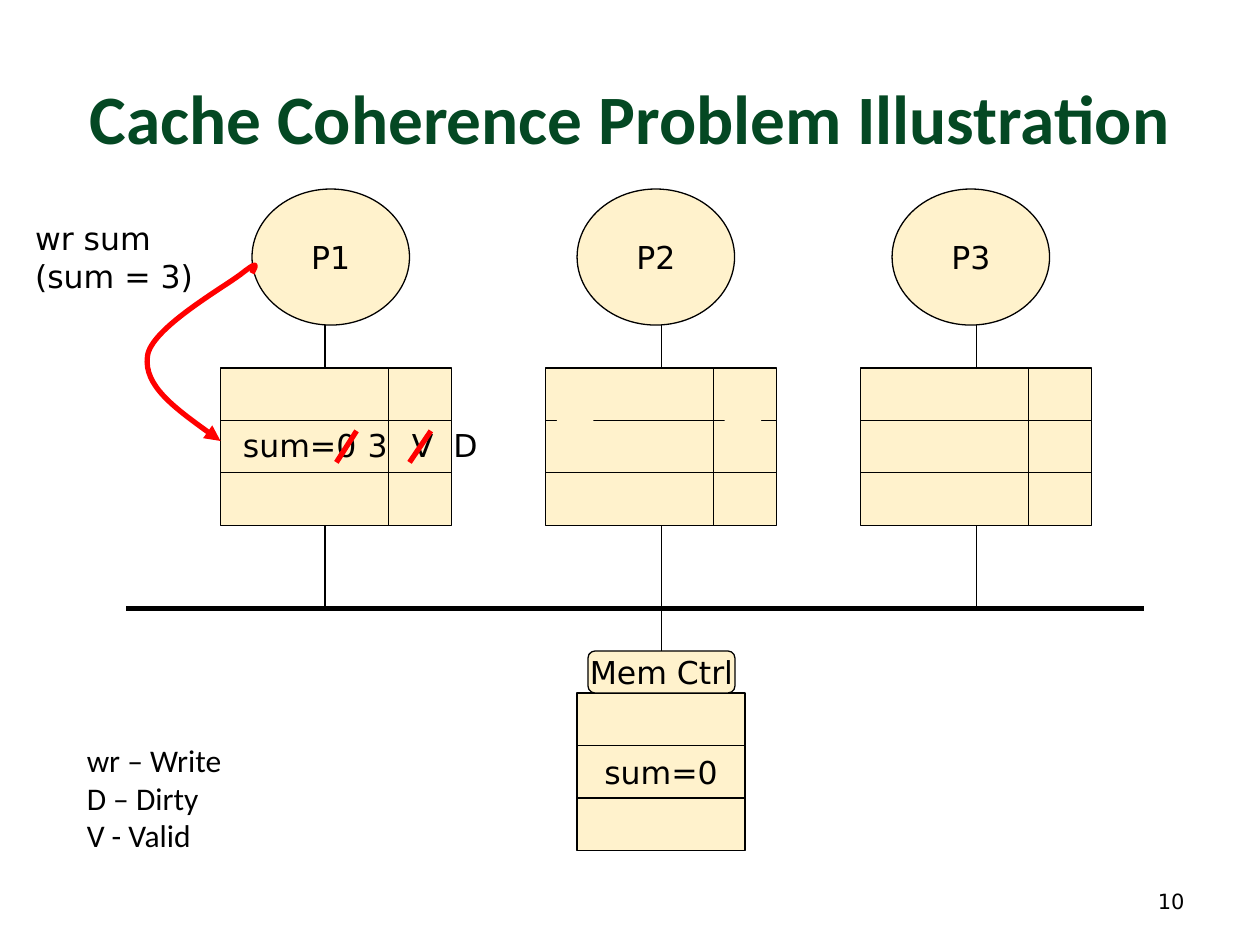
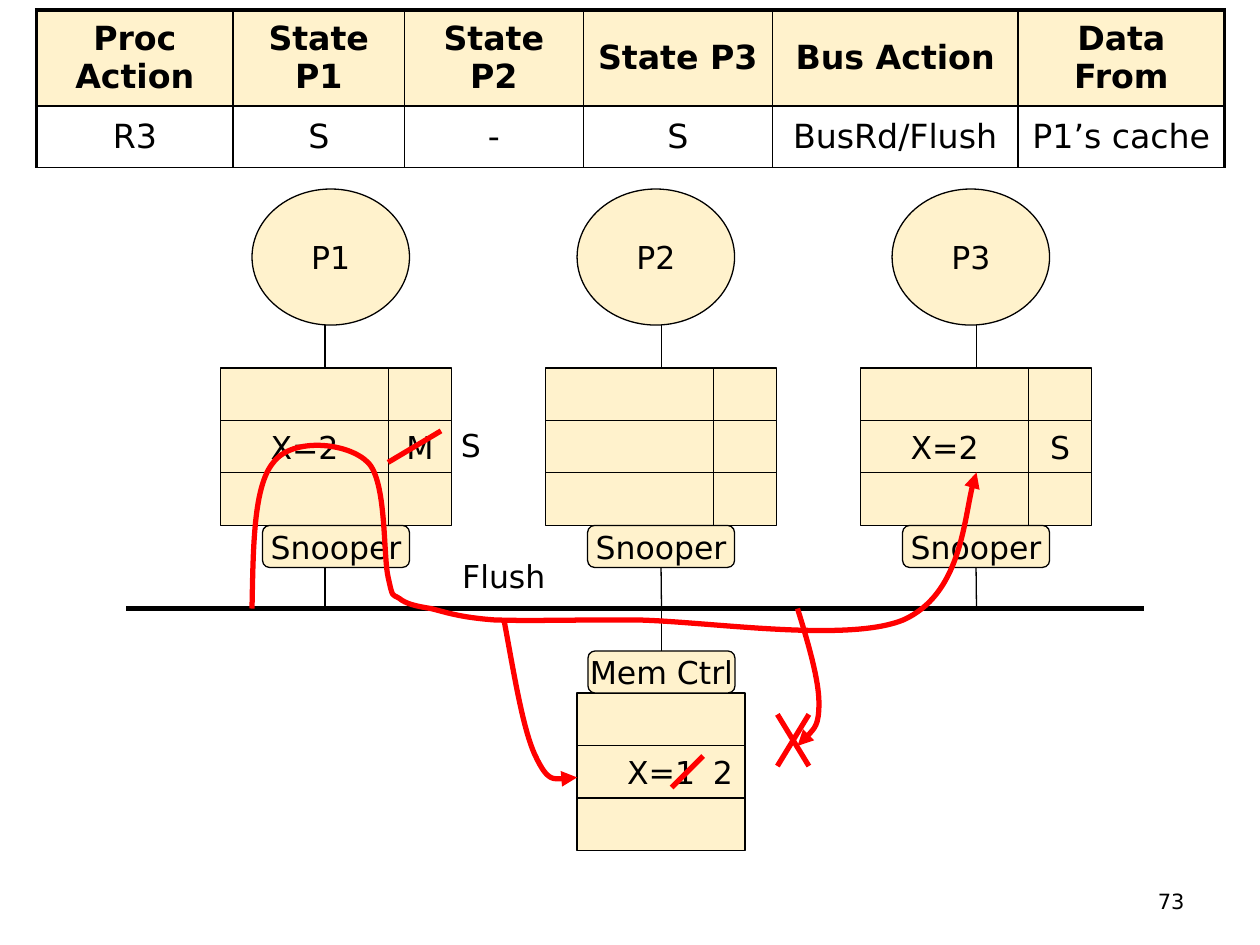
"""Build two slides on cache coherence: a stale write and a bus flush."""
from lxml import etree
from pptx import Presentation
from pptx.dml.color import RGBColor
from pptx.enum.shapes import MSO_CONNECTOR, MSO_SHAPE
from pptx.enum.text import MSO_ANCHOR, MSO_AUTO_SIZE, PP_ALIGN
from pptx.oxml.ns import qn
from pptx.util import Inches, Pt

RECT, OVAL, ROUND = MSO_SHAPE.RECTANGLE, MSO_SHAPE.OVAL, MSO_SHAPE.ROUNDED_RECTANGLE
STRAIGHT = MSO_CONNECTOR.STRAIGHT
LEFT, CENTER, RIGHT = PP_ALIGN.LEFT, PP_ALIGN.CENTER, PP_ALIGN.RIGHT
TOP, MIDDLE = MSO_ANCHOR.TOP, MSO_ANCHOR.MIDDLE
FIT = MSO_AUTO_SIZE.SHAPE_TO_FIT_TEXT
CREAM, BLACK, RED, GREEN = "FFF2CC", "000000", "FF0000", "044823"
BODY, HEAD = "DejaVu Sans", "Calibri"

PROCESSORS = [("P1", 1.75, 2.58), ("P2", 4.33, 5.25), ("P3", 6.83, 7.75)]
DATA_W, STATE_W, ROW_H = 4 / 3, 0.5, 5 / 12
OVAL_W, OVAL_H, OVAL_TOP = 1.25, 1.08, 1.5
CACHE_TOP, MEM_TOP, MEM_LEFT = 2.92, 5.5, 4.58
TAG_W, TAG_H, BUS_Y = 7 / 6, 1 / 3, 4.83

WRITE = {
    "number": "10",
    "title": "Cache Coherence Problem Illustration",
    "snooper": None,
    "cached": {},
    "memory": "sum=0",
    "patches": [(4.42, 3.33), (5.75, 3.33)],
    "curves": [[(2, 2.17), (2.03, 2.11), (2.06, 2.06), (1.92, 2.17), (1.78, 2.28),
                (1.19, 2.61), (1.17, 2.83), (1.14, 3.06), (1.44, 3.28), (1.75, 3.5)]],
    "strikes": [(2.67, 3.67, 2.83, 3.42), (3.25, 3.67, 3.42, 3.42)],
    "labels": [
        (["sum=0"], (1.83, 3.33, 1.1, 0.4), BODY),
        (["V"], (3.17, 3.33, 0.37, 0.4), BODY),
        (["3"], (2.82, 3.33, 0.36, 0.4), BODY),
        (["D"], (3.5, 3.33, 0.39, 0.4), BODY),
        (["wr sum", "(sum = 3)"], (0.18, 1.69, 1.5, 0.7), BODY),
        (["wr – Write", "D – Dirty", "V - Valid"], (0.59, 5.83, 1.28, 1.01), HEAD),
    ],
}
FLUSH = {
    "number": "73",
    "title": None,
    "snooper": "Snooper",
    "cached": {"P1": ("X=2", "M"), "P3": ("X=2", "S")},
    "memory": "X=1",
    "patches": [],
    "curves": [
        [(6.33, 4.83), (6.42, 5.12), (6.5, 5.4), (6.5, 5.58),
         (6.5, 5.76), (6.42, 5.84), (6.33, 5.92)],
        [(4, 4.92), (4.08, 5.35), (4.15, 5.79), (4.25, 6),
         (4.35, 6.21), (4.47, 6.19), (4.58, 6.17)],
        [(2, 4.83), (2.01, 4.35), (2.01, 3.86), (2.17, 3.67), (2.32, 3.47), (2.76, 3.51),
         (2.92, 3.67), (3.07, 3.82), (3.04, 4.4), (3.08, 4.58), (3.12, 4.76), (3.11, 4.71),
         (3.17, 4.75), (3.22, 4.79), (3.29, 4.81), (3.42, 4.83), (3.54, 4.86), (3.65, 4.9),
         (3.92, 4.92), (4.18, 4.93), (4.46, 4.92), (5, 4.92), (5.54, 4.92), (6.71, 5.11),
         (7.17, 4.92), (7.62, 4.72), (7.67, 3.94), (7.75, 3.75)],
    ],
    "strikes": [(6.42, 5.67, 6.17, 6.08), (6.17, 5.67, 6.42, 6.08),
                (5.33, 6.25, 5.58, 6), (3.08, 3.67, 3.5, 3.42)],
    "labels": [
        (["2"], (5.56, 5.93, 0.36, 0.4), BODY),
        (["S"], (3.56, 3.33, 0.37, 0.4), BODY),
        (["Flush"], (3.57, 4.37, 0.86, 0.4), BODY),
    ],
}
STATES = [
    ["Proc Action", "State P1", "State P2", "State P3", "Bus Action", "Data From"],
    ["R3", "S", "-", "S", "BusRd/Flush", "P1’s cache"],
]
STATE_COLS, STATE_ROWS = [1.56, 1.36, 1.42, 1.5, 1.95, 1.64], [0.76, 0.49]


def rgb(color):
    """Turn a hex string into a colour."""
    return RGBColor.from_string(color)


def inches(*values):
    """Turn numbers into lengths."""
    return [Inches(v) for v in values]


def write(tf, *lines, size=18, font=BODY, color=BLACK, bold=False, align=LEFT, anchor=TOP):
    """Write one paragraph per line into a text frame."""
    tf.vertical_anchor = anchor
    for i, line in enumerate(lines):
        p = tf.add_paragraph() if i else tf.paragraphs[0]
        p.alignment = align
        r = p.add_run()
        r.text = line
        r.font.size, r.font.bold, r.font.name = Pt(size), bold, font
        r.font.color.rgb = rgb(color)


def add_label(slide, lines, box, wrap=False, **fmt):
    """Add a text box."""
    tf = slide.shapes.add_textbox(*inches(*box)).text_frame
    tf.word_wrap = wrap
    if not wrap:
        tf.auto_size = FIT
    write(tf, *lines, **fmt)


def add_block(slide, kind, box, text=None, outlined=True):
    """Add a cream shape with optional centred text."""
    sp = slide.shapes.add_shape(kind, *inches(*box))
    sp.shadow.inherit = False
    sp.fill.solid()
    sp.fill.fore_color.rgb = rgb(CREAM)
    if outlined:
        set_line(sp, BLACK, 0.75)
    else:
        sp.line.fill.background()
    if text:
        tf = sp.text_frame
        tf.word_wrap = False
        tf.margin_left = tf.margin_right = tf.margin_top = tf.margin_bottom = 0
        write(tf, text, align=CENTER, anchor=MIDDLE)
    return sp


def set_line(sp, color, width):
    """Set the colour and width of an outline."""
    sp.line.color.rgb = rgb(color)
    sp.line.width = Pt(width)


def add_line(slide, ends, color=BLACK, width=0.75):
    """Add a straight connector."""
    line = slide.shapes.add_connector(STRAIGHT, *inches(*ends))
    set_line(line, color, width)
    etree.SubElement(line._element.spPr, qn("a:effectLst"))
    return line


def add_curve(slide, points):
    """Add a red arrow along cubic curves, three points to each curve."""
    start, *rest = [inches(*pt) for pt in points]
    builder = slide.shapes.build_freeform(*start)
    builder.add_line_segments(rest, close=False)
    sp = builder.convert_to_shape()
    sp.shadow.inherit = False
    sp.fill.background()
    set_line(sp, RED, 3)
    etree.SubElement(sp.line._get_or_add_ln(), qn("a:tailEnd"), type="triangle")
    outline = next(sp._element.iter(qn("a:path")))
    steps = outline.findall(qn("a:lnTo"))
    for i in range(0, len(steps), 3):
        curve = etree.SubElement(outline, qn("a:cubicBezTo"))
        for step in steps[i:i + 3]:
            curve.append(step[0])
            outline.remove(step)


def add_processor(slide, name, left, wire_x, cached, snooper):
    """Add a processor, its cache and its wires to the bus."""
    add_block(slide, OVAL, (left + 0.25, OVAL_TOP, OVAL_W, OVAL_H), name)
    for row in range(3):
        data, state = cached if row == 1 else (None, None)
        top = CACHE_TOP + row * ROW_H
        add_block(slide, RECT, (left, top, DATA_W, ROW_H), data)
        add_block(slide, RECT, (left + DATA_W, top, STATE_W, ROW_H), state)
    add_line(slide, (wire_x, OVAL_TOP + OVAL_H, wire_x, CACHE_TOP))
    bottom = CACHE_TOP + 3 * ROW_H
    if not snooper:
        add_line(slide, (wire_x, bottom, wire_x, BUS_Y))
        return
    tag_left = left + 1 / 3
    tag = add_block(slide, ROUND, (tag_left, bottom, TAG_W, TAG_H), snooper)
    wire = add_line(slide, (wire_x, bottom + TAG_H, wire_x, BUS_Y))
    if abs(tag_left + TAG_W / 2 - wire_x) < 0.02:
        wire.begin_connect(tag, 2)


def add_memory(slide, text):
    """Add the memory, its controller and the wire from the bus."""
    for row in range(3):
        add_block(slide, RECT, (MEM_LEFT, MEM_TOP + row * ROW_H, DATA_W, ROW_H),
                  text if row == 1 else None)
    x = PROCESSORS[1][2]
    ctrl = add_block(slide, ROUND, (x - TAG_W / 2, MEM_TOP - TAG_H, TAG_W, TAG_H), "Mem Ctrl")
    add_line(slide, (x, BUS_Y, x, MEM_TOP - TAG_H)).end_connect(ctrl, 0)


def set_borders(cell, **widths):
    """Set black cell borders, widths in points by side."""
    tc_pr = cell._tc.get_or_add_tcPr()
    for side, width in widths.items():
        ln = etree.SubElement(tc_pr, qn(f"a:ln{side}"), w=str(Pt(width)))
        fill = etree.SubElement(ln, qn("a:solidFill"))
        etree.SubElement(fill, qn("a:srgbClr"), val=BLACK)


def add_states(slide):
    """Add the table of bus actions and cache states."""
    last = len(STATE_COLS) - 1
    box = inches(0.29, 0.08, sum(STATE_COLS), sum(STATE_ROWS))
    table = slide.shapes.add_table(len(STATES), last + 1, *box).table
    table.horz_banding = False
    for col, width in zip(table.columns, STATE_COLS):
        col.width = Inches(width)
    for r, (texts, height) in enumerate(zip(STATES, STATE_ROWS)):
        table.rows[r].height = Inches(height)
        for c, text in enumerate(texts):
            cell = table.cell(r, c)
            set_borders(cell, L=1 if c else 2.25, R=2.25 if c == last else 1,
                        T=1 if r else 2.25, B=1)
            if r:
                cell.fill.background()
            else:
                cell.fill.solid()
                cell.fill.fore_color.rgb = rgb(CREAM)
            write(cell.text_frame, text, size=19, bold=r == 0, align=CENTER)
            cell.vertical_anchor = MIDDLE


def add_slide(prs, scene):
    """Add one slide with the shared machine and its own marks."""
    slide = prs.slides.add_slide(prs.slide_layouts[5 if scene["title"] else 6])
    if scene["title"]:
        title = slide.shapes.title
        title.left, title.top, title.width, title.height = inches(0.5, 0.3, 9, 1.25)
        write(title.text_frame, scene["title"], size=39.6, font=HEAD, color=GREEN,
              bold=True, align=CENTER, anchor=MIDDLE)
    add_label(slide, [scene["number"]], (7.17, 6.95, 2.33, 0.4), wrap=True,
              size=12, align=RIGHT, anchor=MIDDLE)
    add_line(slide, (1, BUS_Y, 9.08, BUS_Y), width=3.25)
    for name, left, wire_x in PROCESSORS:
        cached = scene["cached"].get(name, (None, None))
        add_processor(slide, name, left, wire_x, cached, scene["snooper"])
    add_memory(slide, scene["memory"])
    for left, top in scene["patches"]:
        add_block(slide, RECT, (left, top, 0.29, 0.4), outlined=False)
    for lines, box, font in scene["labels"]:
        add_label(slide, lines, box, font=font)
    for points in scene["curves"]:
        add_curve(slide, points)
    for ends in scene["strikes"]:
        add_line(slide, ends, RED, 3)
    return slide


def main():
    """Build and save the slides."""
    prs = Presentation()
    prs.slide_width, prs.slide_height = inches(10, 7.5)
    add_slide(prs, WRITE)
    add_states(add_slide(prs, FLUSH))
    prs.save("out.pptx")


if __name__ == "__main__":
    main()
